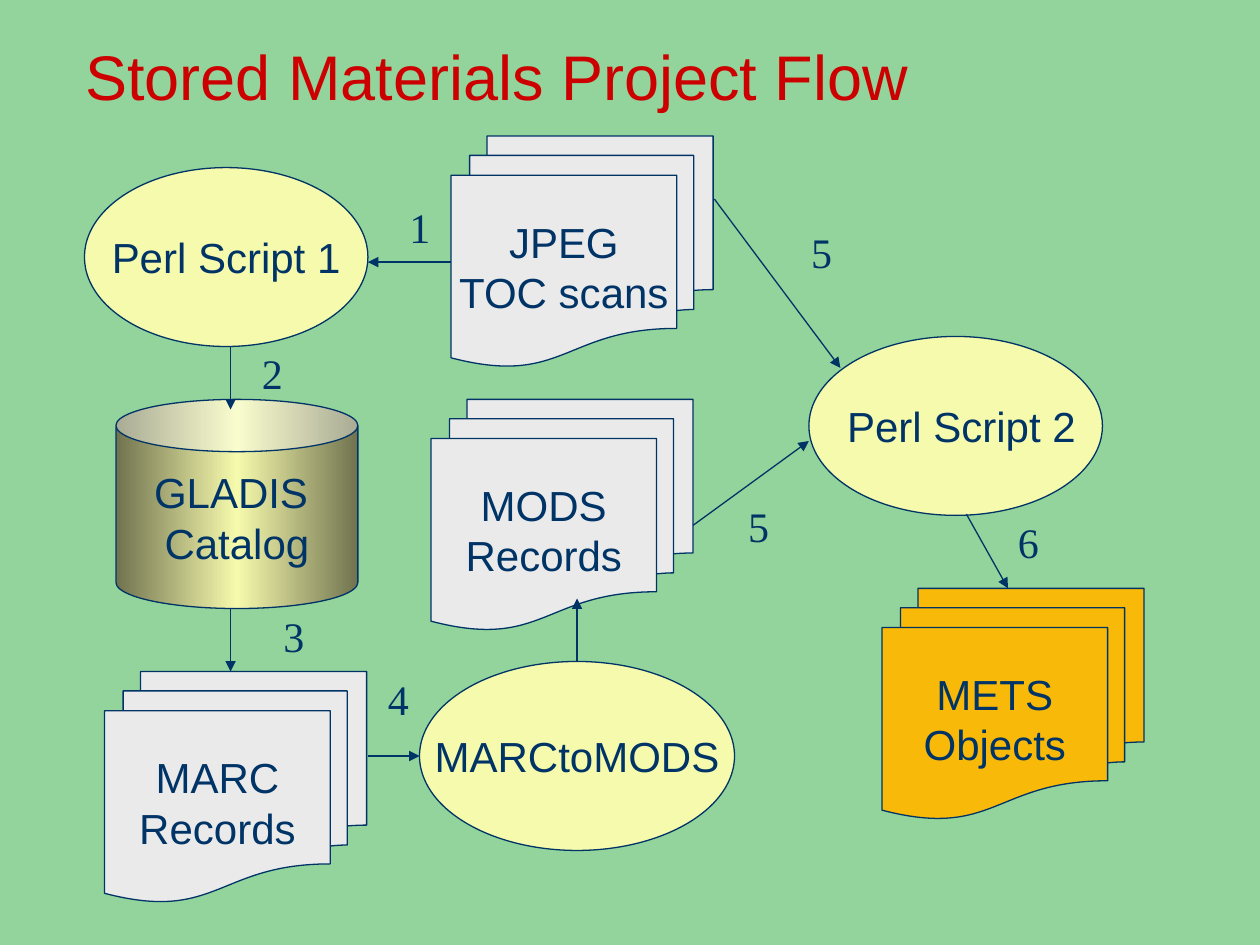
import copy

import pptx
import pptx.dml.color
import pptx.enum.shapes
import pptx.enum.text
import pptx.oxml
import pptx.oxml.ns
import pptx.util

Inches = pptx.util.Inches
Shape = pptx.enum.shapes.MSO_SHAPE
Anchor = pptx.enum.text.MSO_ANCHOR
Align = pptx.enum.text.PP_ALIGN

BACKGROUND, RED, NAVY = "93D39C", "CC0000", "003366"
YELLOW, OLIVE, GRAY, ORANGE = "F6FAAC", "71734F", "EAEAEA", "F8B908"

TITLE = "Stored Materials Project Flow"
STACK_SIZE = (2.08, 1.83)
LABEL_SIZE = (0.36, 0.5)

# text, left, top, width, height
SCRIPTS = [
    ("MARCtoMODS", 3.33, 5.25, 2.5, 1.5),
    ("Perl Script 1", 0.67, 1.33, 2.25, 1.42),
    (" Perl Script 2", 6.42, 2.67, 2.33, 1.42),
]
CATALOG = ("GLADIS \nCatalog", 0.92, 3.17, 1.92, 1.66)

# text, left, top, fill
DOCUMENT_STACKS = [
    ("MARC\nRecords", 0.83, 5.33, GRAY),
    ("MODS\nRecords", 3.42, 3.17, GRAY),
    ("JPEG\nTOC scans", 3.58, 1.08, GRAY),
    ("METS\nObjects", 7, 4.67, ORANGE),
]

# start x, start y, end x, end y
ARROWS = [
    (3.58, 2.08, 2.92, 2.08),
    (1.83, 2.75, 1.83, 3.25),
    (1.83, 4.83, 1.83, 5.33),
    (2.92, 6, 3.33, 6),
    (4.58, 5.25, 4.58, 4.75),
    (5.67, 1.58, 6.67, 2.92),
    (5.5, 4.17, 6.42, 3.5),
    (7.67, 4.08, 8, 4.67),
]

# step number, left, top
STEP_LABELS = [
    ("1", 3.15, 1.55),
    ("2", 1.98, 2.71),
    ("3", 2.15, 4.8),
    ("4", 2.98, 5.3),
    ("5", 6.34, 1.75),
    ("5", 5.84, 3.92),
    ("6", 7.98, 4.05),
]


def color(hex_string):
    return pptx.dml.color.RGBColor.from_string(hex_string)


def write_text(shape, text, size=24, font="Arial", fill=NAVY,
               align=Align.LEFT, anchor=Anchor.TOP, wrap=False):
    frame = shape.text_frame
    frame.word_wrap = wrap
    frame.vertical_anchor = anchor
    frame.text = text
    for paragraph in frame.paragraphs:
        paragraph.alignment = align
        paragraph.font.size = pptx.util.Pt(size)
        paragraph.font.name = font
        paragraph.font.color.rgb = color(fill)


def outline(line):
    line.color.rgb = color(NAVY)
    line.width = pptx.util.Pt(0.75)


def add_node(slide, kind, text, left, top, width, height, fill):
    shape = slide.shapes.add_shape(kind, *map(Inches, (left, top, width, height)))
    shape.shadow.inherit = False
    shape.fill.solid()
    shape.fill.fore_color.rgb = color(fill)
    outline(shape.line)
    write_text(shape, text, align=Align.CENTER, anchor=Anchor.MIDDLE)
    return shape


def shade_across(shape, edge, middle):
    """Fill with a horizontal gradient from edge to middle and back to edge."""
    shape.fill.gradient()
    shape.fill.gradient_angle = 0
    stop_list = shape.element.spPr.find(".//" + pptx.oxml.ns.qn("a:gsLst"))
    stop_list.append(copy.deepcopy(stop_list[0]))
    stops = zip(shape.fill.gradient_stops, (0, 0.5, 1), (edge, middle, edge))
    for stop, position, fill in stops:
        stop.position = position
        stop.color.rgb = color(fill)


def add_arrow(slide, *ends):
    arrow = slide.shapes.add_connector(
        pptx.enum.shapes.MSO_CONNECTOR.STRAIGHT, *map(Inches, ends))
    outline(arrow.line)
    namespace = pptx.oxml.ns.nsdecls("a")
    arrow.line._get_or_add_ln().append(
        pptx.oxml.parse_xml(f'<a:tailEnd {namespace} type="triangle"/>'))
    arrow.element.spPr.append(pptx.oxml.parse_xml(f"<a:effectLst {namespace}/>"))


def add_label(slide, text, left, top, width, height, **text_format):
    box = slide.shapes.add_textbox(*map(Inches, (left, top, width, height)))
    write_text(box, text, **text_format)


def main():
    presentation = pptx.Presentation()
    presentation.slide_width, presentation.slide_height = Inches(10), Inches(7.5)
    slide = presentation.slides.add_slide(presentation.slide_layouts[6])
    slide.background.fill.solid()
    slide.background.fill.fore_color.rgb = color(BACKGROUND)

    add_label(slide, TITLE, 0.58, 0.25, 8.42, 0.7, size=36, fill=RED, wrap=True)
    for script in SCRIPTS:
        add_node(slide, Shape.OVAL, *script, YELLOW)
    shade_across(add_node(slide, Shape.CAN, *CATALOG, YELLOW), OLIVE, YELLOW)
    for text, left, top, fill in DOCUMENT_STACKS:
        add_node(slide, Shape.FLOWCHART_MULTIDOCUMENT, text, left, top, *STACK_SIZE, fill)
    for ends in ARROWS:
        add_arrow(slide, *ends)
    for step in STEP_LABELS:
        add_label(slide, *step, *LABEL_SIZE, font="Times New Roman")

    presentation.save("out.pptx")


if __name__ == "__main__":
    main()
